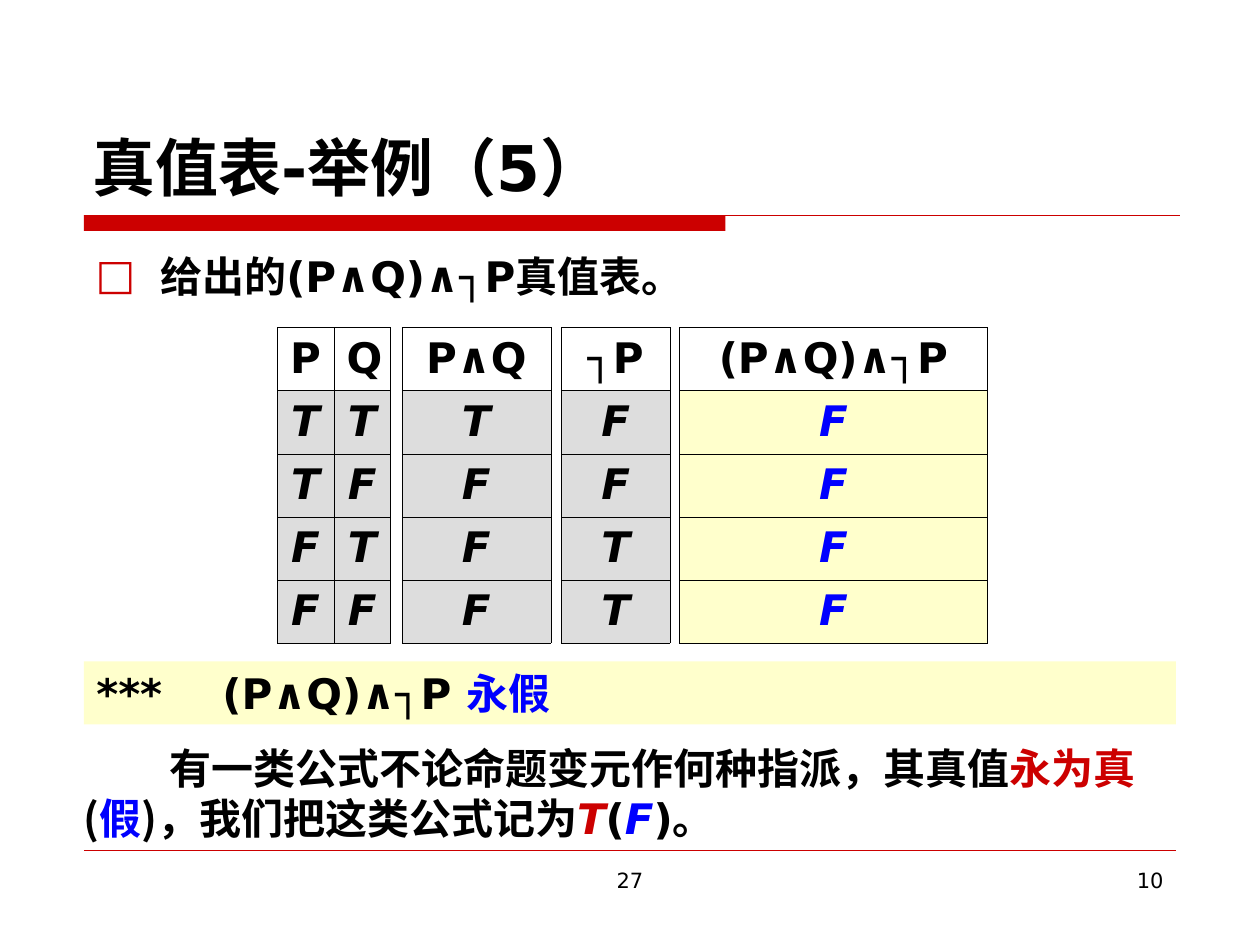
from lxml.etree import SubElement
from pptx import Presentation
from pptx.dml.color import RGBColor
from pptx.enum.shapes import MSO_CONNECTOR, MSO_SHAPE
from pptx.enum.text import MSO_ANCHOR, MSO_AUTO_SIZE, PP_ALIGN
from pptx.oxml.ns import qn
from pptx.util import Pt

BLACK = RGBColor(0x00, 0x00, 0x00)
RED = RGBColor(0xCC, 0x00, 0x00)
BLUE = RGBColor(0x00, 0x00, 0xFF)
GRAY = RGBColor(0xDD, 0xDD, 0xDD)
CREAM = RGBColor(0xFF, 0xFF, 0xCC)

SANS = "DejaVu Sans"
CHINESE = "Noto Sans CJK SC"
SERIF = "Times New Roman"

FORMULA = "(P∧Q)∧┐P"
TABLE_TOP = 187.2
ROW_HEIGHT = 36

# left edge, column widths, header, truth values, fill and text colour
TRUTH_TABLES = [
    (158.4, [32.4, 32.4], ["P", "Q"], ["TT", "TF", "FT", "FF"], GRAY, BLACK),
    (229.7, [85], ["P∧Q"], "TFFF", GRAY, BLACK),
    (320.8, [62], ["┐P"], "FFTT", GRAY, BLACK),
    (388.2, [176], [FORMULA], "FFFF", CREAM, BLUE),
]


def add_span(paragraph, text, color=BLACK, font=SANS, size=24, bold=True, italic=False):
    span = paragraph.add_run()
    span.text = text
    span.font.name = font
    span.font.size = Pt(size)
    span.font.bold = bold
    span.font.italic = italic
    span.font.color.rgb = color
    SubElement(span.font._element, qn("a:ea")).set("typeface", CHINESE)


def add_text_box(page, left, top, width, height):
    """Add a wrapping text box and return its first paragraph."""
    box = page.shapes.add_textbox(Pt(left), Pt(top), Pt(width), Pt(height))
    box.text_frame.word_wrap = True
    return box.text_frame.paragraphs[0]


def add_bar(page, left, top, width, height, color):
    bar = page.shapes.add_shape(
        MSO_SHAPE.RECTANGLE, Pt(left), Pt(top), Pt(width), Pt(height))
    bar.shadow.inherit = False
    bar.fill.solid()
    bar.fill.fore_color.rgb = color
    bar.line.fill.background()
    return bar


def add_rule(page, left, right, y, weight):
    rule = page.shapes.add_connector(
        MSO_CONNECTOR.STRAIGHT, Pt(left), Pt(y), Pt(right), Pt(y))
    rule.line.color.rgb = RED
    rule.line.width = Pt(weight)
    SubElement(rule._element.spPr, qn("a:effectLst"))


def add_title(page, text):
    title = page.shapes.title
    title.left, title.top, title.width, title.height = Pt(45.5), Pt(24), Pt(630), Pt(96)
    title.text_frame.auto_size = MSO_AUTO_SIZE.NONE
    title.text_frame.vertical_anchor = MSO_ANCHOR.BOTTOM
    paragraph = title.text_frame.paragraphs[0]
    paragraph.alignment = PP_ALIGN.LEFT
    add_span(paragraph, text, size=36)


def set_indent(paragraph, margin, first_line):
    properties = paragraph._p.get_or_add_pPr()
    properties.set("marL", str(int(Pt(margin))))
    properties.set("indent", str(int(Pt(first_line))))
    return properties


def add_bullet(paragraph):
    properties = set_indent(paragraph, 37, -37)
    color = SubElement(properties, qn("a:buClr"))
    SubElement(color, qn("a:srgbClr")).set("val", str(RED))
    SubElement(properties, qn("a:buFont")).set("typeface", SANS)
    SubElement(properties, qn("a:buChar")).set("char", "□")


def add_borders(cell):
    """Outline a cell; call before filling it, as borders come first in the XML."""
    properties = cell._tc.get_or_add_tcPr()
    for side in ("lnL", "lnR", "lnT", "lnB"):
        border = SubElement(properties, qn(f"a:{side}"), w=str(int(Pt(0.23))))
        fill = SubElement(border, qn("a:solidFill"))
        SubElement(fill, qn("a:srgbClr")).set("val", str(BLACK))


def add_truth_table(page, left, widths, header, values, fill, color):
    rows = [header, *values]
    frame = page.shapes.add_table(
        len(rows), len(widths), Pt(left), Pt(TABLE_TOP),
        Pt(sum(widths)), Pt(ROW_HEIGHT * len(rows)))
    table = frame.table
    table.first_row = table.horz_banding = False
    for column, width in zip(table.columns, widths):
        column.width = Pt(width)
    for row_index, row in enumerate(rows):
        is_header = row_index == 0
        for column_index, text in enumerate(row):
            cell = table.cell(row_index, column_index)
            add_borders(cell)
            if is_header:
                cell.fill.background()
            else:
                cell.fill.solid()
                cell.fill.fore_color.rgb = fill
            cell.vertical_anchor = MSO_ANCHOR.MIDDLE
            paragraph = cell.text_frame.paragraphs[0]
            paragraph.alignment = PP_ALIGN.CENTER
            add_span(paragraph, text, BLACK if is_header else color,
                     italic=not is_header)


def add_result(page):
    band = add_bar(page, 48, 378, 624, 36, CREAM)
    band.text_frame.word_wrap = True
    paragraph = band.text_frame.paragraphs[0]
    paragraph.alignment = PP_ALIGN.LEFT
    add_span(paragraph, f"***\t{FORMULA} ")
    add_span(paragraph, "永假", BLUE)


def add_conclusion(page):
    paragraph = add_text_box(page, 40.5, 420.5, 649, 65)
    set_indent(paragraph, 0, 49)
    spans = [
        ("有一类公式不论命题变元作何种指派，其", BLACK, SERIF),
        ("真值", BLACK, CHINESE),
        ("永为真", RED, CHINESE),
        ("(", BLACK, CHINESE),
        ("假", BLUE, CHINESE),
        (")", BLACK, CHINESE),
        ("，", BLACK, SANS),
        ("我们把这类公式记为", BLACK, SERIF),
        ("T", RED, SANS),
        ("(", BLACK, SANS),
        ("F", BLUE, SANS),
        (")。", BLACK, SANS),
    ]
    for text, color, font in spans:
        add_span(paragraph, text, color, font, italic=text in ("T", "F"))


def add_footer(page, left, width, text, alignment):
    paragraph = add_text_box(page, left, 492, width, 37.5)
    paragraph.alignment = alignment
    add_span(paragraph, text, size=12, bold=False)


def main():
    deck = Presentation()
    deck.slide_width, deck.slide_height = Pt(720), Pt(540)
    page = deck.slides.add_slide(deck.slide_layouts[5])

    add_bar(page, 48, 123, 366.5, 9, RED)
    add_rule(page, 48, 674.5, 123, 0.75)
    add_rule(page, 48, 672, 486, 0.25)
    add_footer(page, 246, 228, "27", PP_ALIGN.CENTER)
    add_footer(page, 516, 156, "10", PP_ALIGN.RIGHT)

    add_title(page, "真值表-举例（5）")
    task = add_text_box(page, 47.5, 139.5, 630, 36.5)
    add_bullet(task)
    add_span(task, f"给出的{FORMULA}真值表。")
    for truth_table in TRUTH_TABLES:
        add_truth_table(page, *truth_table)
    add_result(page)
    add_conclusion(page)

    deck.save("out.pptx")


if __name__ == "__main__":
    main()
